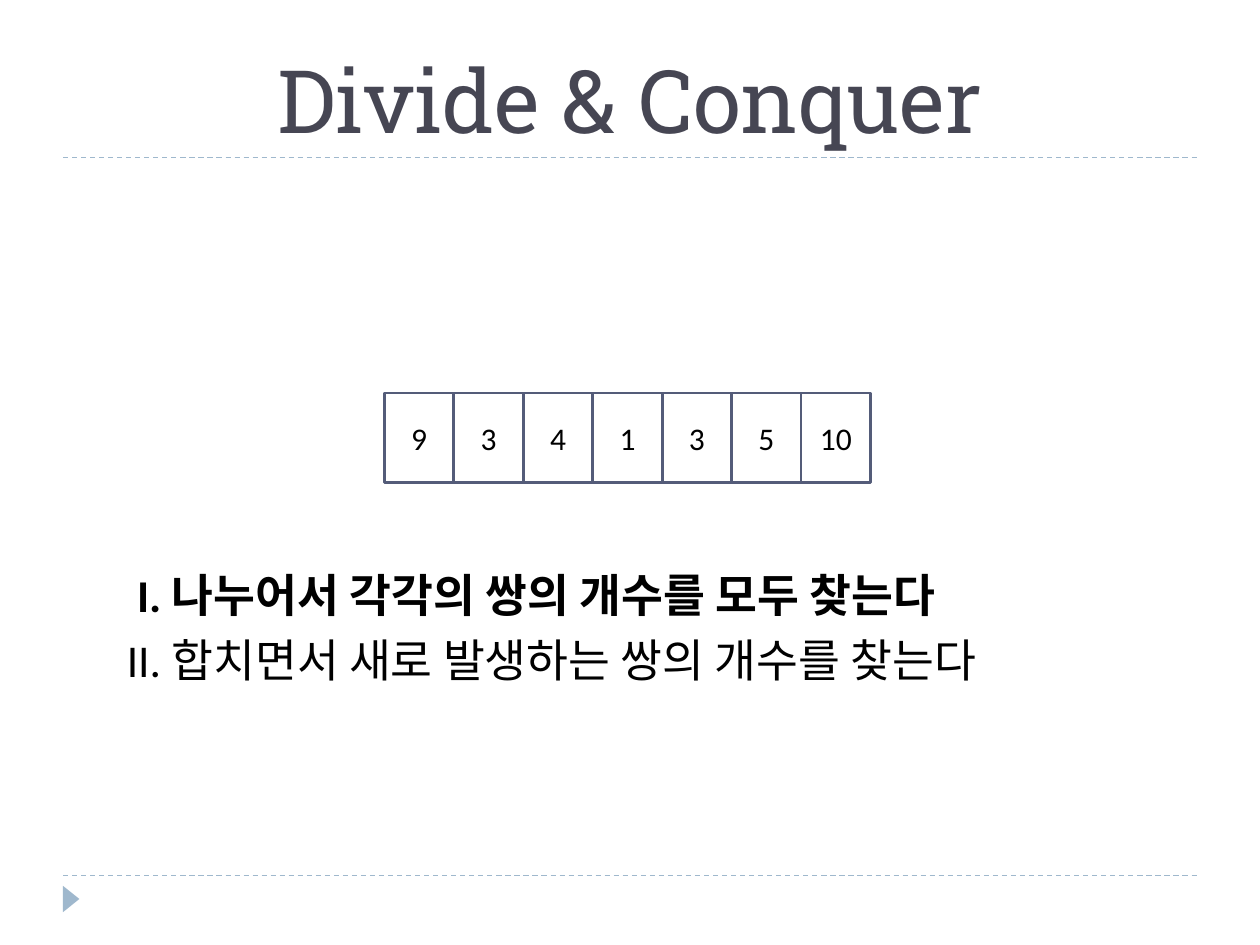
from lxml import etree
from pptx import Presentation
from pptx.dml.color import RGBColor
from pptx.enum.dml import MSO_LINE
from pptx.enum.shapes import MSO_CONNECTOR, MSO_SHAPE
from pptx.enum.text import MSO_ANCHOR, MSO_AUTO_SIZE, PP_ALIGN
from pptx.oxml.ns import qn
from pptx.util import Pt

DASH = MSO_LINE.DASH
RECT, ARROW = MSO_SHAPE.RECTANGLE, MSO_SHAPE.ISOSCELES_TRIANGLE
MID, LOW = MSO_ANCHOR.MIDDLE, MSO_ANCHOR.BOTTOM
CENTER = PP_ALIGN.CENTER

BLACK = RGBColor(0x00, 0x00, 0x00)
SLATE = RGBColor(0x46, 0x46, 0x53)
EDGE = RGBColor(0x54, 0x5C, 0x79)
BLUE = RGBColor(0x9F, 0xB8, 0xCD)


def style(para, name, size, color, bold=False):
    font = para.font
    font.name, font.size, font.bold = name, Pt(size), bold
    font.color.rgb = color


deck = Presentation()
deck.slide_width, deck.slide_height = Pt(720), Pt(540)
slide = deck.slides.add_slide(deck.slide_layouts[5])
shapes = slide.shapes

# Rules and corner marker
for y in (500.4, 90):
    rule = shapes.add_connector(MSO_CONNECTOR.STRAIGHT, Pt(36), Pt(y), Pt(684), Pt(y))
    rule.line.color.rgb = BLUE
    rule.line.width = Pt(0.75)
    rule.line.dash_style = DASH
    etree.SubElement(rule._element.spPr, qn("a:effectLst"))

mark = shapes.add_shape(ARROW, Pt(33.1), Pt(509), Pt(15.1), Pt(9.4))
mark.rotation = 90
mark.shadow.inherit = False
mark.fill.solid()
mark.fill.fore_color.rgb = BLUE
mark.line.fill.background()

# Title
title = shapes.title
title.left, title.top, title.width, title.height = Pt(36), Pt(12.2), Pt(648), Pt(77.8)
frame = title.text_frame
frame.text = "Divide & Conquer"
frame.auto_size = MSO_AUTO_SIZE.NONE
frame.vertical_anchor = LOW
frame.paragraphs[0].alignment = CENTER
style(frame.paragraphs[0], "Roboto Slab", 50, SLATE)

# Steps: the indents line up the text after the numerals
steps = [
    ("I. 나누어서 각각의 쌍의 개수를 모두 찾는다", 35.3, True),
    ("II. 합치면서 새로 발생하는 쌍의 개수를 찾는다", 29.4, False),
]
box = shapes.add_textbox(Pt(36), Pt(320.4), Pt(648), Pt(80))
frame = box.text_frame
frame.word_wrap = True
for i, (text, indent, bold) in enumerate(steps):
    para = frame.add_paragraph() if i else frame.paragraphs[0]
    para.text = text
    para.line_spacing = Pt(31.2)
    para.space_before = Pt(6 if i else 0)
    para._p.get_or_add_pPr().set("marL", str(Pt(indent)))
    style(para, "Calibri", 26, BLACK, bold)

# Row of numbers
wide = 39.7
for i, value in enumerate([9, 3, 4, 1, 3, 5, 10]):
    cell = shapes.add_shape(RECT, Pt(219.6 + i * wide), Pt(224.6), Pt(wide), Pt(51.1))
    cell.shadow.inherit = False
    cell.fill.background()
    cell.line.color.rgb = EDGE
    cell.line.width = Pt(1.5)
    frame = cell.text_frame
    frame.text = str(value)
    frame.vertical_anchor = MID
    frame.paragraphs[0].alignment = CENTER
    style(frame.paragraphs[0], "Calibri", 18, BLACK)

deck.save("out.pptx")
